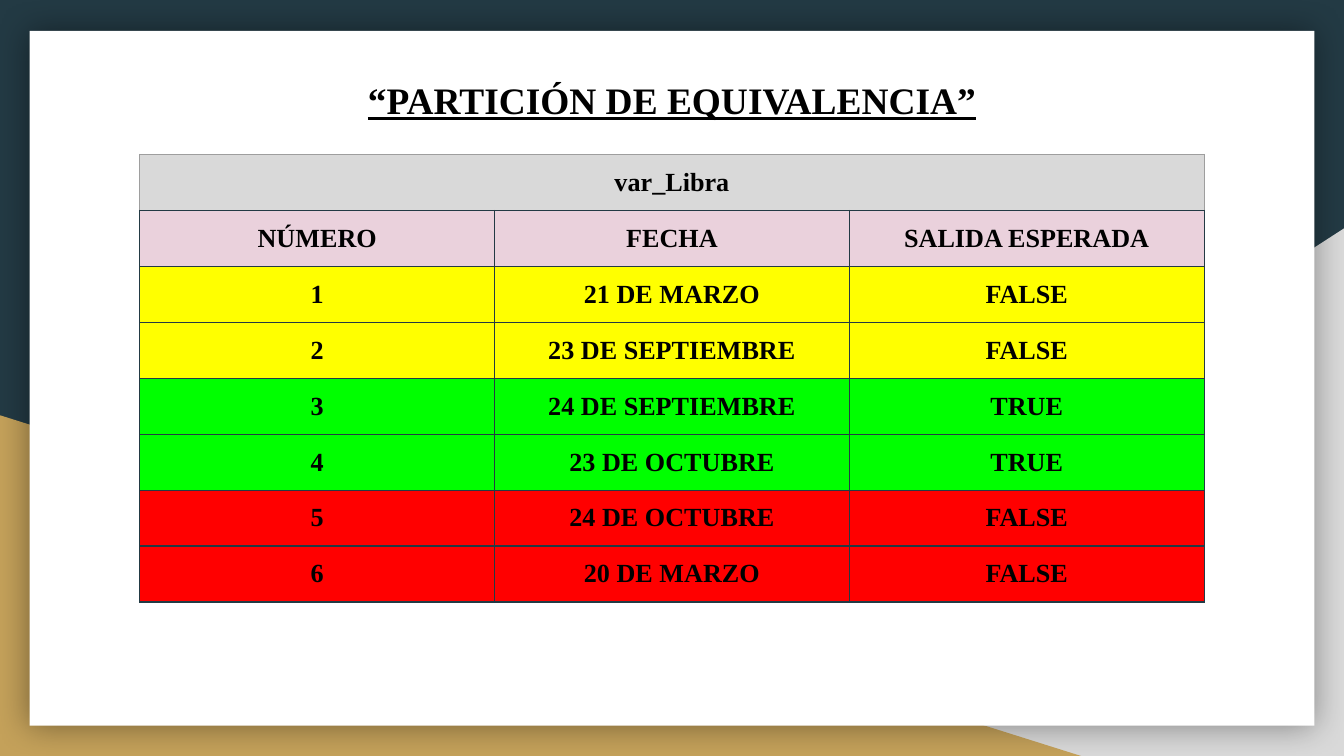
from dataclasses import dataclass

from lxml import etree
from pptx import Presentation
from pptx.dml.color import RGBColor
from pptx.enum.shapes import MSO_SHAPE
from pptx.enum.text import MSO_ANCHOR, PP_ALIGN
from pptx.oxml.ns import qn
from pptx.util import Inches, Pt

RECTANGLE = MSO_SHAPE.RECTANGLE
RIGHT_TRIANGLE = MSO_SHAPE.RIGHT_TRIANGLE
MIDDLE = MSO_ANCHOR.MIDDLE
CENTER = PP_ALIGN.CENTER


@dataclass(frozen=True)
class Theme:
    font: str = "Times New Roman"
    title_size: int = 20
    table_size: int = 14
    text: str = "000000"
    navy: str = "233A44"
    gold: str = "C4A15A"
    gray: str = "D9D9D9"
    panel: str = "FFFFFF"
    caption_border: str = "9E9E9E"
    header: str = "EAD1DC"
    yellow: str = "FFFF00"
    green: str = "00FF00"
    red: str = "FF0000"


THEME = Theme()
CAPTION = "var_Libra"
ROWS = [
    (THEME.header, "NÚMERO", "FECHA", "SALIDA ESPERADA"),
    (THEME.yellow, "1", "21 DE MARZO", "FALSE"),
    (THEME.yellow, "2", "23 DE SEPTIEMBRE", "FALSE"),
    (THEME.green, "3", "24 DE SEPTIEMBRE", "TRUE"),
    (THEME.green, "4", "23 DE OCTUBRE", "TRUE"),
    (THEME.red, "5", "24 DE OCTUBRE", "FALSE"),
    (THEME.red, "6", "20 DE MARZO", "FALSE"),
]


def paint(fill, color):
    fill.solid()
    fill.fore_color.rgb = RGBColor.from_string(color)


def write_text(text_frame, text, *, size, bold=True, underline=None):
    paragraph = text_frame.paragraphs[0]
    paragraph.alignment = CENTER
    run = paragraph.add_run()
    run.text = text
    font = run.font
    font.name = THEME.font
    font.size = Pt(size)
    font.bold = bold
    font.underline = underline
    font.color.rgb = RGBColor.from_string(THEME.text)


def set_margins(holder):
    """Give a cell or text frame equal margins on its four sides."""
    holder.margin_left = holder.margin_right = Inches(0.1)
    holder.margin_top = holder.margin_bottom = Inches(0.1)


def add_color(parent, color):
    return etree.SubElement(parent, qn("a:srgbClr"), val=color)


def set_borders(cell, color, bottom_color):
    """Insert the border lines ahead of the fill, as the schema asks."""
    properties = cell._tc.get_or_add_tcPr()
    colors = {"lnL": color, "lnR": color, "lnT": color, "lnB": bottom_color}
    for index, (side, side_color) in enumerate(colors.items()):
        line = etree.Element(qn(f"a:{side}"), w=str(Pt(0.75)))
        add_color(etree.SubElement(line, qn("a:solidFill")), side_color)
        properties.insert(index, line)


class SlideBuilder:
    def __init__(self, slide, theme):
        self.slide = slide
        self.theme = theme

    def background(self, color):
        paint(self.slide.background.fill, color)

    def shape(self, kind, left, top, width, height, color, flipped=False):
        shape = self.slide.shapes.add_shape(
            kind, Inches(left), Inches(top), Inches(width), Inches(height))
        shape.shadow.inherit = False
        paint(shape.fill, color)
        shape.line.fill.background()
        if flipped:
            shape._element.spPr.xfrm.set("flipH", "1")
        return shape

    def panel(self, left, top, width, height):
        """Add the white sheet with a soft shadow all around."""
        panel = self.shape(RECTANGLE, left, top, width, height, self.theme.panel)
        effects = panel._element.spPr.find(qn("a:effectLst"))
        shadow = etree.SubElement(
            effects, qn("a:outerShdw"), blurRad=str(Pt(18)), dist="0",
            dir="0", algn="ctr", rotWithShape="0")
        etree.SubElement(
            add_color(shadow, "000000"), qn("a:alpha"), val="40000")

    def title(self, text, left, top, width, height):
        box = self.slide.shapes.add_textbox(
            Inches(left), Inches(top), Inches(width), Inches(height))
        frame = box.text_frame
        frame.word_wrap = True
        frame.vertical_anchor = MIDDLE
        set_margins(frame)
        write_text(frame, text, size=self.theme.title_size, underline=True)

    def cell(self, cell, text, color, border):
        paint(cell.fill, color)
        cell.vertical_anchor = MIDDLE
        set_margins(cell)
        set_borders(cell, border, self.theme.navy)
        if text:
            write_text(cell.text_frame, text, size=self.theme.table_size)

    def table(self, caption, rows, left, top, width, height):
        row_count, column_count = len(rows) + 1, len(rows[0]) - 1
        table = self.slide.shapes.add_table(
            row_count, column_count, Inches(left), Inches(top),
            Inches(width), Inches(height)).table
        table.first_row = table.horz_banding = False
        for column in table.columns:
            column.width = Inches(width / column_count)
        for row in table.rows:
            row.height = Inches(height / row_count)

        table.cell(0, 0).merge(table.cell(0, column_count - 1))
        for column in range(column_count):
            self.cell(table.cell(0, column), "" if column else caption,
                      self.theme.gray, self.theme.caption_border)
        for row, (color, *texts) in enumerate(rows, start=1):
            for column, text in enumerate(texts):
                self.cell(table.cell(row, column), text, color, self.theme.navy)


def main():
    presentation = Presentation()
    presentation.slide_width = Inches(10)
    presentation.slide_height = Inches(10 * 9 / 16)
    slide = presentation.slides.add_slide(presentation.slide_layouts[6])

    builder = SlideBuilder(slide, THEME)
    builder.background(THEME.navy)
    builder.shape(RIGHT_TRIANGLE, 3.92, 1.7, 6.08, 3.93, THEME.gray, flipped=True)
    builder.shape(RIGHT_TRIANGLE, 0, 3.09, 8.06, 2.54, THEME.gold)
    builder.panel(0.22, 0.23, 9.56, 5.17)
    builder.table(CAPTION, ROWS, 1.04, 1.15, width=7.92, height=3.33)
    builder.title("“PARTICIÓN DE EQUIVALENCIA”", 1.04, 0.52, 7.92, 0.44)

    presentation.save("out.pptx")


if __name__ == "__main__":
    main()
